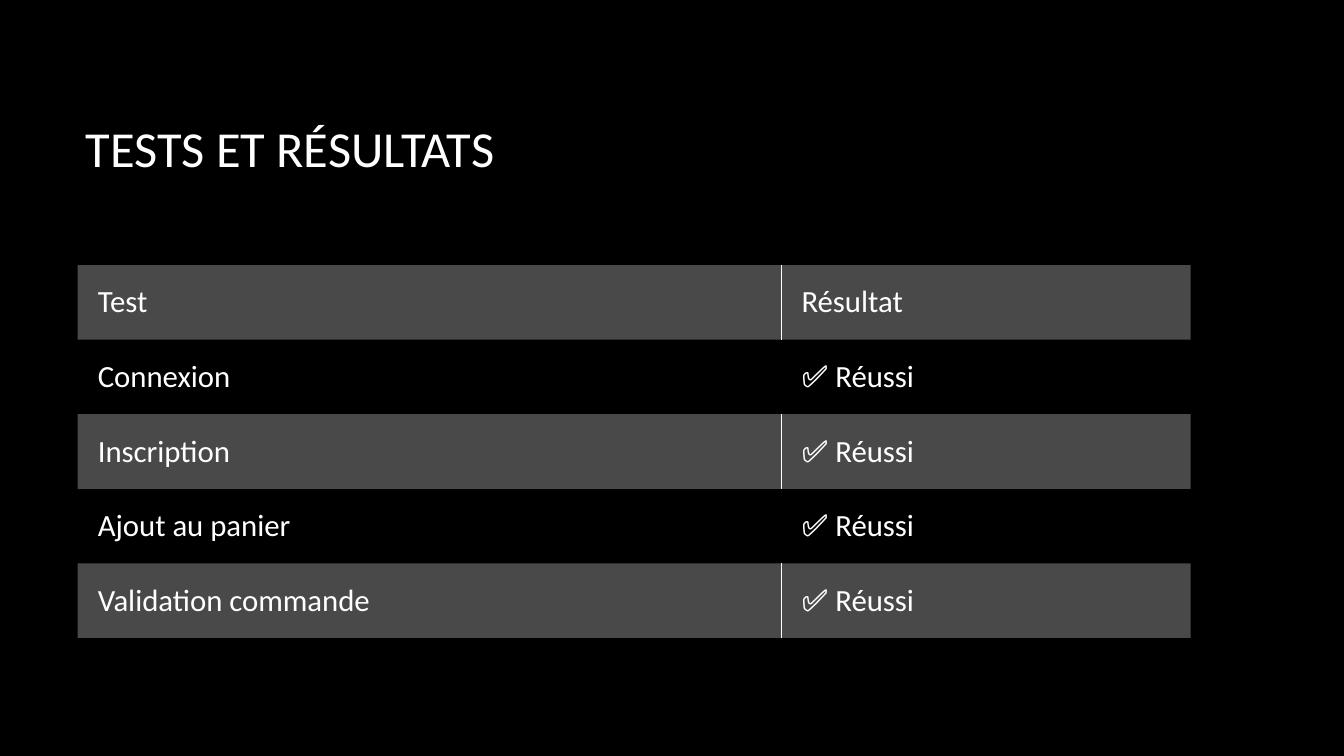
import dataclasses

import pptx
import pptx.dml.color
import pptx.enum.text
import pptx.oxml
import pptx.oxml.ns
import pptx.util

RGB = pptx.dml.color.RGBColor.from_string
MIDDLE = pptx.enum.text.MSO_ANCHOR.MIDDLE
LEFT = pptx.enum.text.PP_ALIGN.LEFT
qn = pptx.oxml.ns.qn


@dataclasses.dataclass(frozen=True)
class Theme:
    font: str = "Calibri"
    background: str = "000000"
    text: str = "FFFFFF"
    band: str = "F2F2F2"
    band_alpha: int = 30
    divider: float = 0.5
    title_size: int = 36
    table_size: int = 22
    no_style: str = "{2D5ABB26-0587-4C30-8999-92F81FD0307C}"


THEME = Theme()
WIDTH, HEIGHT = 13.33, 7.5
TITLE = "TESTS ET RÉSULTATS"
PASSED = "✅ Réussi"
TESTS = ["Connexion", "Inscription", "Ajout au panier", "Validation commande"]
ROWS = [("Test", "Résultat")] + [(test, PASSED) for test in TESTS]
TITLE_BOX = (0.75, 0.67, 11.08, 1.59)
TABLE_BOX = (0.77, 2.63, 11.04, 3.7)
TEST_SHARE = 6.98 / 11.04


def set_attributes(target, values):
    for name, value in values.items():
        setattr(target, name, value)


def write_text(tf, text, size):
    p = tf.paragraphs[0]
    p.alignment = LEFT
    r = p.add_run()
    r.text = text
    set_attributes(r.font, {"name": THEME.font, "size": pptx.util.Pt(size), "bold": False})
    r.font.color.rgb = RGB(THEME.text)


def add_title(s, box):
    title = s.shapes.title
    places = map(pptx.util.Inches, box)
    set_attributes(title, dict(zip(("left", "top", "width", "height"), places)))
    set_attributes(title.text_frame, {"vertical_anchor": MIDDLE, "word_wrap": True})
    write_text(title.text_frame, TITLE, THEME.title_size)


def add_divider(tcPr, side):
    width = pptx.util.Pt(THEME.divider)
    tcPr.insert(0, pptx.oxml.parse_xml(
        f'<a:{side} {pptx.oxml.ns.nsdecls("a")} w="{width}"><a:solidFill>'
        f'<a:srgbClr val="{THEME.text}"/></a:solidFill></a:{side}>'))


def format_cell(cell, text, banded, side):
    margin = pptx.util.Inches(0.16)
    set_attributes(cell, {
        "vertical_anchor": MIDDLE,
        "margin_left": pptx.util.Inches(0.2),
        "margin_right": margin,
        "margin_top": margin,
        "margin_bottom": margin,
    })
    write_text(cell.text_frame, text, THEME.table_size)
    cell.fill.solid()
    cell.fill.fore_color.rgb = RGB(THEME.band if banded else THEME.background)
    if banded:
        tcPr = cell._tc.get_or_add_tcPr()
        color = next(tcPr.iter(qn("a:srgbClr")))
        color.append(pptx.oxml.parse_xml(
            f'<a:alpha {pptx.oxml.ns.nsdecls("a")} val="{THEME.band_alpha * 1000}"/>'))
        add_divider(tcPr, side)


def add_results(s, box):
    left, top, width, height = map(pptx.util.Inches, box)
    frame = s.shapes.add_table(len(ROWS), 2, left, top, width, height)
    next(frame.element.iter(qn("a:tableStyleId"))).text = THEME.no_style
    table = frame.table
    set_attributes(table, {"first_row": False, "horz_banding": False})
    table.columns[0].width = int(width * TEST_SHARE)
    table.columns[1].width = width - table.columns[0].width
    for i, row in enumerate(ROWS):
        for j, (text, side) in enumerate(zip(row, ("lnR", "lnL"))):
            format_cell(table.cell(i, j), text, i % 2 == 0, side)


def main():
    prs = pptx.Presentation()
    prs.slide_width = pptx.util.Inches(WIDTH)
    prs.slide_height = pptx.util.Inches(HEIGHT)
    s = prs.slides.add_slide(prs.slide_layouts.get_by_name("Title Only"))
    s.background.fill.solid()
    s.background.fill.fore_color.rgb = RGB(THEME.background)
    add_title(s, TITLE_BOX)
    add_results(s, TABLE_BOX)
    prs.save("out.pptx")


if __name__ == "__main__":
    main()
